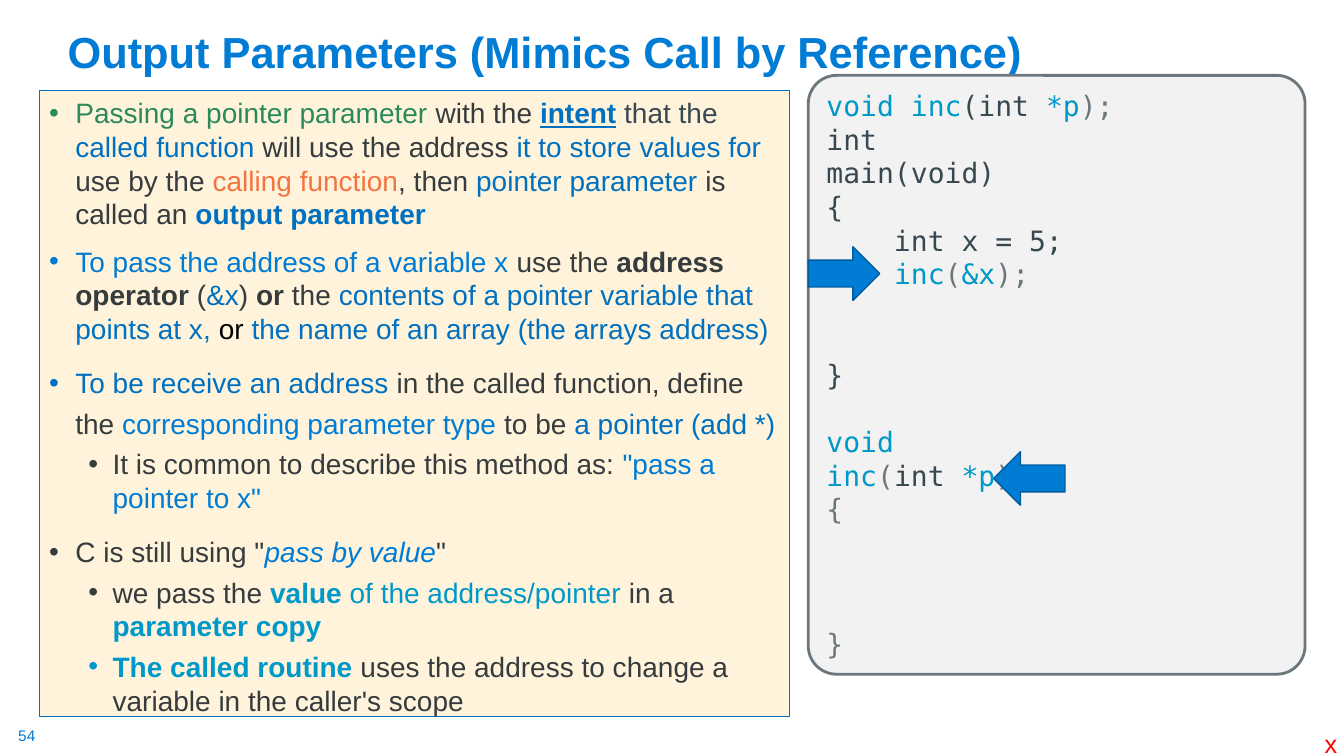
from lxml.etree import SubElement
from pptx import Presentation
from pptx.dml.color import RGBColor
from pptx.enum.shapes import MSO_SHAPE
from pptx.enum.text import MSO_ANCHOR, MSO_AUTO_SIZE, PP_ALIGN
from pptx.oxml.ns import qn
from pptx.util import Cm, Pt

COLORS = {
    "blue": "007CD5", "deep": "0070C0", "cyan": "0098C9", "green": "2C895B",
    "orange": "F37440", "dark": "363B3E", "slate": "384851", "gray": "6B767D",
    "black": "000000", "red": "FF0000", "cream": "FFF4DB", "panel": "F2F2F2",
    "edge": "005C9E",
}
CODE_LINE = 24


def add_runs(paragraph, runs, font_name, size):
    """Add (text, colour, style) runs; style holds any of the letters b, i, u."""
    paragraph.alignment = PP_ALIGN.LEFT
    for text, color, *style in runs:
        run = paragraph.add_run()
        run.text = text
        font = run.font
        font.name = font_name
        font.size = Pt(size)
        font.color.rgb = RGBColor.from_string(COLORS[color])
        for letter in "".join(style):
            setattr(font, {"b": "bold", "i": "italic", "u": "underline"}[letter], True)


def add_box(kind, left, top, width, height, fill, line, line_width):
    shape = slide.shapes.add_shape(kind, Cm(left), Cm(top), Cm(width), Cm(height))
    shape.shadow.inherit = False
    shape.fill.solid()
    shape.fill.fore_color.rgb = RGBColor.from_string(COLORS[fill])
    shape.line.color.rgb = RGBColor.from_string(COLORS[line])
    shape.line.width = Pt(line_width)
    shape.text_frame.vertical_anchor = MSO_ANCHOR.TOP
    shape.text_frame.word_wrap = True
    return shape


presentation = Presentation()
presentation.slide_width = Cm(33.87)
presentation.slide_height = Cm(19.05)
slide = presentation.slides.add_slide(presentation.slide_layouts[5])

# Title
title = slide.shapes.title
title.left, title.top, title.width, title.height = Cm(1.45), Cm(0.66), Cm(29.21), Cm(1.42)
title.text_frame.auto_size = MSO_AUTO_SIZE.NONE
title.text_frame.vertical_anchor = MSO_ANCHOR.BOTTOM
title_paragraph = title.text_frame.paragraphs[0]
title_paragraph.line_spacing = 0.9
add_runs(title_paragraph,
         [("Output Parameters (Mimics Call by Reference)", "blue", "b")], "Arial", 31)

# Explanation: (level, line spacing, runs)
explanation = [
    (0, 1.0, [
        ("Passing a pointer parameter ", "green"), ("with the ", "dark"),
        ("intent", "deep", "bu"), (" ", "deep"), ("that the ", "slate"),
        ("called function ", "deep"), ("will use the address ", "dark"),
        ("it to store values for ", "deep"), ("use by the ", "dark"),
        ("calling function", "orange"), (", then ", "dark"),
        ("pointer parameter", "deep"), (" is called an ", "dark"),
        ("output parameter", "deep", "b")]),
    (0, 1.0, [
        ("To pass the address of a variable x ", "blue"), ("use the ", "dark"),
        ("address operator ", "dark", "b"), ("(", "dark"), ("&x", "deep"),
        (") ", "dark"), ("or", "dark", "b"), (" the ", "dark"),
        ("contents of a pointer variable that points at x, ", "deep"),
        ("or", "black"), (" the name of an array (the arrays address)", "deep")]),
    (0, 1.2, [
        ("To be receive an address", "deep"),
        (" in the called function, define the ", "dark"),
        ("corresponding parameter type", "blue"), (" to be ", "dark"),
        ("a pointer (add *)", "deep")]),
    (1, 1.0, [
        ("It is common to describe this method as: ", "dark"),
        ('"pass a pointer to x"', "blue")]),
    (0, 1.2, [
        ('C is still using "', "dark"), ("pass by value", "blue", "i"), ('"', "dark")]),
    (1, 1.0, [
        ("we pass the ", "dark"), ("value ", "cyan", "b"),
        ("of the address/pointer ", "cyan"), ("in a ", "dark"),
        ("parameter copy", "cyan", "b")]),
    (1, 1.0, [
        ("The called routine", "cyan", "b"),
        (" uses the address to change a variable in the caller's scope", "dark")]),
]
INDENTS = [(0.66, 0.66), (1.6, 0.61)]
SPACE_BEFORE = [10, 5]
body = add_box(MSO_SHAPE.RECTANGLE, 0.99, 2.29, 18.9, 15.77, "cream", "deep", 0.75)
for index, (level, line_spacing, runs) in enumerate(explanation):
    frame = body.text_frame
    paragraph = frame.add_paragraph() if index else frame.paragraphs[0]
    properties = paragraph._p.get_or_add_pPr()
    margin, hanging = INDENTS[level]
    properties.set("marL", str(Cm(margin)))
    properties.set("indent", str(-Cm(hanging)))
    SubElement(properties, qn("a:buFont")).set("typeface", "Arial")
    SubElement(properties, qn("a:buChar")).set("char", "•")
    paragraph.level = level
    paragraph.line_spacing = line_spacing
    if index:
        paragraph.space_before = Pt(SPACE_BEFORE[level])
    add_runs(paragraph, runs, "Arial", 20)

# Code: (empty lines above, runs)
code = [
    (0, [("void inc", "cyan"), ("(int ", "slate"), ("*p", "cyan"), (");", "gray")]),
    (0, [("int", "slate")]),
    (0, [("main(void)", "slate")]),
    (0, [("{", "slate")]),
    (0, [("    int x = 5;", "slate")]),
    (0, [("    ", "gray"), ("inc", "cyan"), ("(", "gray"), ("&x", "cyan"), (");", "gray")]),
    (2, [("}", "slate")]),
    (1, [("void", "cyan")]),
    (0, [("inc", "cyan"), ("(", "gray"), ("int ", "slate"), ("*p", "cyan"), (")", "gray")]),
    (0, [("{", "gray")]),
    (3, [("}", "gray")]),
]
panel = add_box(MSO_SHAPE.ROUNDED_RECTANGLE, 20.37, 1.9, 12.52, 15.09, "panel", "gray", 2)
panel.adjustments[0] = 0.057
for index, (empty_lines, runs) in enumerate(code):
    frame = panel.text_frame
    paragraph = frame.add_paragraph() if index else frame.paragraphs[0]
    if empty_lines:
        paragraph.space_before = Pt(empty_lines * CODE_LINE)
    add_runs(paragraph, runs, "DejaVu Sans Mono", 20)

# Arrows at the call and at the parameter
for left, top, rotation in [(20.37, 6.22, 0), (25.04, 11.38, 180)]:
    arrow = add_box(MSO_SHAPE.RIGHT_ARROW, left, top, 1.8, 1.35, "blue", "edge", 1)
    arrow.rotation = rotation

# Slide number and corner mark
for text, left, top, width, height, size, color in [
    ("54", 0.46, 18.31, 0.48, 0.48, 11, "blue"),
    ("x", 33.38, 18.36, 0.4, 0.69, 18, "red"),
]:
    label = slide.shapes.add_textbox(Cm(left), Cm(top), Cm(width), Cm(height))
    frame = label.text_frame
    frame.margin_left = frame.margin_top = frame.margin_right = frame.margin_bottom = 0
    frame.word_wrap = False
    add_runs(frame.paragraphs[0], [(text, color)], "Arial", size)

presentation.save("out.pptx")
